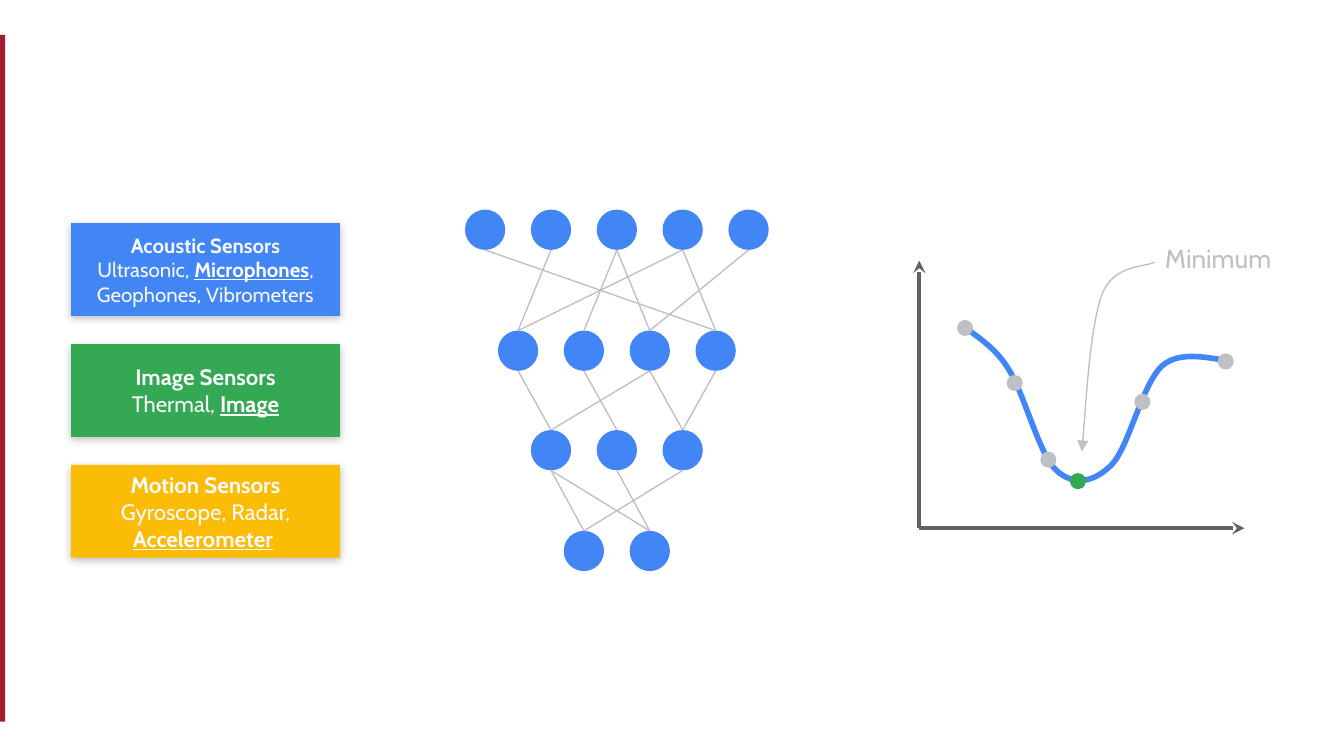
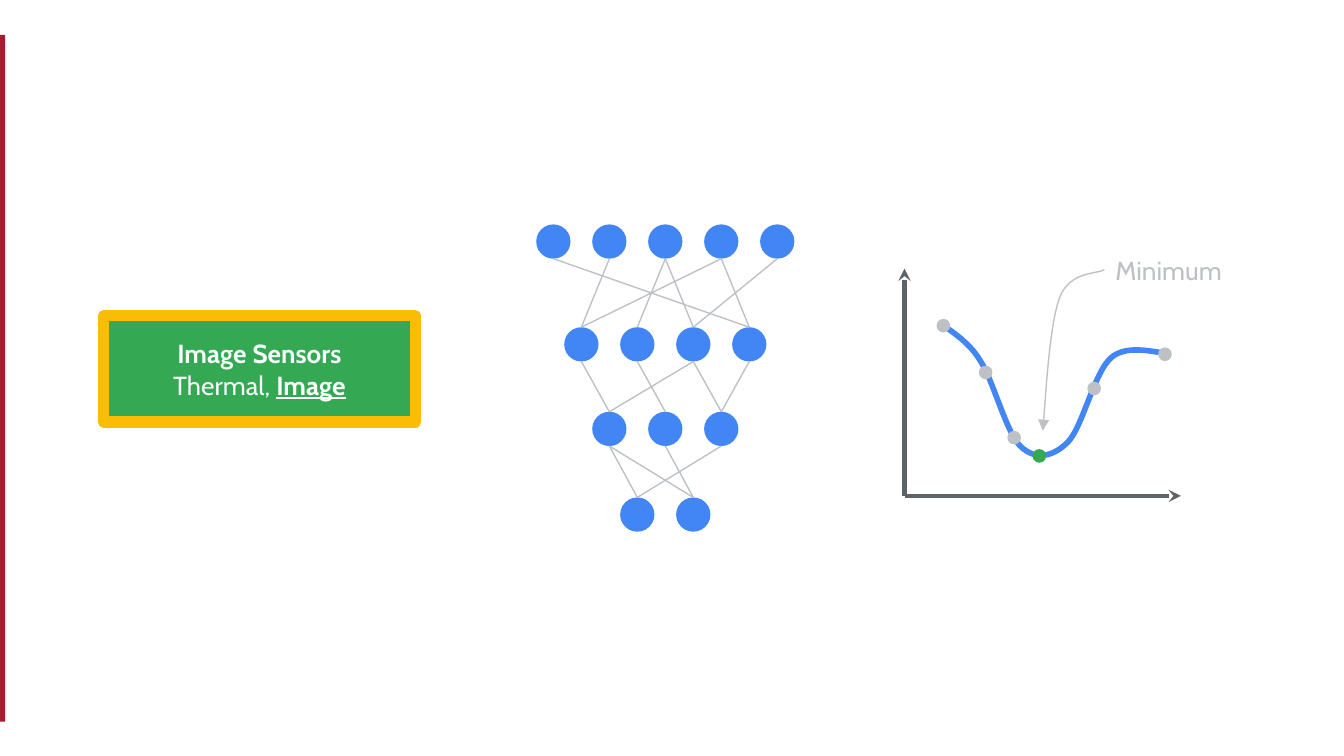
from dataclasses import dataclass

from lxml import etree
from pptx import Presentation
from pptx.dml.color import RGBColor
from pptx.enum.shapes import MSO_CONNECTOR, MSO_SHAPE
from pptx.enum.text import MSO_ANCHOR, PP_ALIGN
from pptx.oxml.ns import qn
from pptx.util import Inches, Pt

RECT = MSO_SHAPE.RECTANGLE
ROUND_RECT = MSO_SHAPE.ROUNDED_RECTANGLE
OVAL = MSO_SHAPE.OVAL
STRAIGHT = MSO_CONNECTOR.STRAIGHT
CENTER, LEFT = PP_ALIGN.CENTER, PP_ALIGN.LEFT
MIDDLE, TOP = MSO_ANCHOR.MIDDLE, MSO_ANCHOR.TOP


@dataclass(frozen=True)
class Theme:
    font: str = "Cabin"
    crimson: str = "A51C30"
    blue: str = "4285F4"
    green: str = "34A853"
    yellow: str = "FBBC05"
    gray: str = "BDC1C6"
    axis: str = "5F6368"
    text: str = "F8F9FA"
    white: str = "FFFFFF"
    small: int = 11
    medium: int = 12
    large: int = 14
    thin: float = 0.75
    axis_width: float = 2.25
    curve_width: float = 3
    border_width: float = 6


@dataclass(frozen=True)
class Frame:
    x: float
    y: float
    scale: float = 1

    def at(self, dx, dy):
        return self.x + dx * self.scale, self.y + dy * self.scale


T = Theme()

ACOUSTIC = ("Acoustic Sensors", [
    ("Ultrasonic, ", None), ("Microphones", T.white),
    (", Geophones, Vibrometers", None)])
IMAGE = ("Image Sensors", [("Thermal, ", None), ("Image", T.white)])
MOTION = ("Motion Sensors", [
    ("Gyroscope, Radar, ", None), ("Accelerometer", T.text), (" ", None)])

NODE, PITCH = 0.3, 0.49
LAYERS = [(5, 0), (4, 0.9), (3, 1.64), (2, 2.39)]
EDGES = [
    [(0, 3), (1, 0), (2, 1), (2, 2), (3, 0), (3, 3), (4, 2)],
    [(0, 0), (1, 1), (2, 0), (2, 2), (3, 2)],
    [(0, 0), (0, 1), (1, 1), (2, 0)],
]

DOT = 0.12
AXIS_ENDS = [(2.42, 0), (0, -1.99)]
LOSS_CURVE = [
    (0.31, -1.52),
    (0.37, -1.46), (0.55, -1.37), (0.66, -1.19),
    (0.78, -1.01), (0.89, -0.55), (1.02, -0.43),
    (1.15, -0.31), (1.3, -0.34), (1.43, -0.47),
    (1.56, -0.6), (1.66, -1.08), (1.81, -1.21),
    (1.96, -1.34), (2.23, -1.24), (2.31, -1.25),
]
POINTER = [
    (1.21, -0.57),
    (1.23, -0.76), (1.27, -1.5), (1.36, -1.74),
    (1.45, -1.97), (1.69, -1.94), (1.75, -1.98),
]
DOTS = [
    (0.34, -1.49, T.gray), (0.71, -1.08, T.gray), (0.96, -0.51, T.gray),
    (1.18, -0.35, T.green), (1.66, -0.94, T.gray), (2.28, -1.24, T.gray),
]


class Deck:
    def __init__(self):
        self.prs = Presentation()
        self.prs.slide_width = Inches(10)
        self.prs.slide_height = self.prs.slide_width * 9 // 16
        self.s = None

    def new_slide(self):
        self.s = self.prs.slides.add_slide(self.prs.slide_layouts[6])
        self.shape(RECT, -0.02, 0.26, 0.06, 5.11, T.crimson)

    def shape(self, kind, x, y, w, h, fill, parent=None):
        shapes = (parent or self.s).shapes
        sp = shapes.add_shape(kind, Inches(x), Inches(y), Inches(w), Inches(h))
        sp.shadow.inherit = False
        sp.fill.solid()
        sp.fill.fore_color.rgb = RGBColor.from_string(fill)
        sp.line.fill.background()
        return sp

    def stroke(self, sp, color, width, head=None, tail=None):
        sp.line.color.rgb = RGBColor.from_string(color)
        sp.line.width = Pt(width)
        ln = sp.line._get_or_add_ln()
        for tag, end in (("a:headEnd", head), ("a:tailEnd", tail)):
            if end:
                etree.SubElement(ln, qn(tag), type=end)

    def line(self, start, end, color, width, tail=None, parent=None):
        ends = [Inches(v) for v in (*start, *end)]
        cx = (parent or self.s).shapes.add_connector(STRAIGHT, *ends)
        self.stroke(cx, color, width, tail=tail)
        etree.SubElement(cx._element.spPr, qn("a:effectLst"))

    def curve(self, points, color, width, head=None):
        pts = [(Inches(x), Inches(y)) for x, y in points]
        builder = self.s.shapes.build_freeform(*pts[0])
        builder.add_line_segments(pts[1:], close=False)
        sp = builder.convert_to_shape()
        sp.shadow.inherit = False
        sp.fill.background()
        self.stroke(sp, color, width, head=head)
        segments = list(sp._element.iter(qn("a:lnTo")))
        outline = segments[0].getparent()
        for i in range(0, len(segments), 3):
            bezier = etree.SubElement(outline, qn("a:cubicBezTo"))
            for segment in segments[i:i + 3]:
                bezier.append(segment[0])
                outline.remove(segment)

    def frame_text(self, sp, anchor):
        tf = sp.text_frame
        tf.word_wrap = True
        tf.vertical_anchor = anchor
        tf.margin_left = tf.margin_right = Inches(0.1)
        tf.margin_top = tf.margin_bottom = Inches(0.1)
        return tf

    def run(self, p, text, size, color, bold=False, underline=False):
        r = p.add_run()
        r.text = text
        r.font.name = T.font
        r.font.size = Pt(size)
        r.font.color.rgb = RGBColor.from_string(color)
        r.font.bold = bold
        r.font.underline = underline

    def label(self, x, y, w, h, text, size, color):
        tb = self.s.shapes.add_textbox(Inches(x), Inches(y), Inches(w), Inches(h))
        p = self.frame_text(tb, TOP).paragraphs[0]
        p.alignment = LEFT
        self.run(p, text, size, color)

    def card(self, x, y, w, h, fill, content, size, border=None):
        sp = self.shape(ROUND_RECT, x, y, w, h, fill)
        sp.adjustments[0] = 0
        if border:
            self.stroke(sp, border, T.border_width)
        else:
            self.drop_shadow(sp)
        title, details = content
        tf = self.frame_text(sp, MIDDLE)
        p = tf.paragraphs[0]
        p.alignment = CENTER
        self.run(p, title, size, T.text, bold=True)
        p = tf.add_paragraph()
        p.alignment = CENTER
        for text, accent in details:
            self.run(p, text, size, accent or T.text, bool(accent), bool(accent))

    def drop_shadow(self, sp):
        effects = sp._element.spPr.find(qn("a:effectLst"))
        shadow = etree.SubElement(
            effects, qn("a:outerShdw"), blurRad=str(Pt(4.5)), dist=str(Pt(1.5)),
            dir="5400000", algn="bl", rotWithShape="0")
        color = etree.SubElement(shadow, qn("a:srgbClr"), val="000000")
        etree.SubElement(color, qn("a:alpha"), val="25000")

    def network(self, frame):
        grp = self.s.shapes.add_group_shape()
        size = NODE * frame.scale

        def corner(layer, i):
            return (i + layer / 2) * PITCH, LAYERS[layer][1]

        for layer, (count, _) in enumerate(LAYERS):
            for i in range(count):
                x, y = frame.at(*corner(layer, i))
                self.shape(OVAL, x, y, size, size, T.blue, grp)
        for layer, edges in enumerate(EDGES):
            for i, j in edges:
                x1, y1 = corner(layer, i)
                x2, y2 = corner(layer + 1, j)
                self.line(frame.at(x1 + NODE / 2, y1 + NODE),
                          frame.at(x2 + NODE / 2, y2),
                          T.gray, T.thin, parent=grp)

    def loss_plot(self, frame):
        k = frame.scale
        for end in AXIS_ENDS:
            self.line(frame.at(0, 0), frame.at(*end), T.axis, T.axis_width,
                      tail="stealth")
        self.curve([frame.at(*pt) for pt in LOSS_CURVE], T.blue, T.curve_width)
        for cx, cy, color in DOTS:
            x, y = frame.at(cx - DOT / 2, cy - DOT / 2)
            self.shape(OVAL, x, y, DOT * k, DOT * k, color)
        self.curve([frame.at(*pt) for pt in POINTER], T.gray, T.thin,
                   head="triangle")
        self.label(*frame.at(1.73, -2.23), 1.2 * k, 0.49 * k, "Minimum",
                   T.large, T.gray)


def main():
    deck = Deck()

    deck.new_slide()
    cards = [(T.blue, ACOUSTIC, T.small), (T.green, IMAGE, T.medium),
             (T.yellow, MOTION, T.medium)]
    for i, (fill, content, size) in enumerate(cards):
        deck.card(0.53, 1.66 + i * 0.9, 2, 0.69, fill, content, size)
    deck.network(Frame(3.46, 1.56))
    deck.loss_plot(Frame(6.84, 3.93))

    deck.new_slide()
    deck.card(0.77, 2.35, 2.32, 0.79, T.green, IMAGE, T.large, T.yellow)
    deck.network(Frame(3.99, 1.67, 0.85))
    deck.loss_plot(Frame(6.73, 3.69, 0.85))

    deck.prs.save("out.pptx")


if __name__ == "__main__":
    main()
